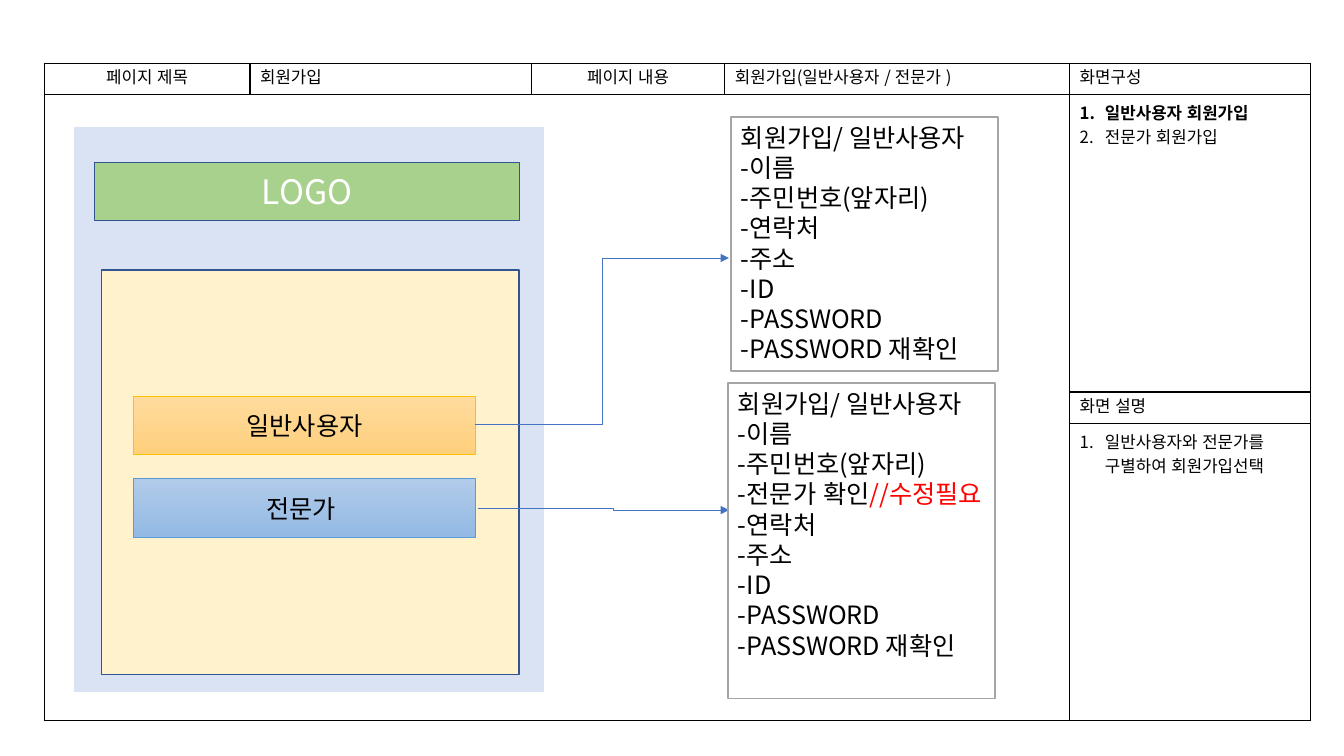
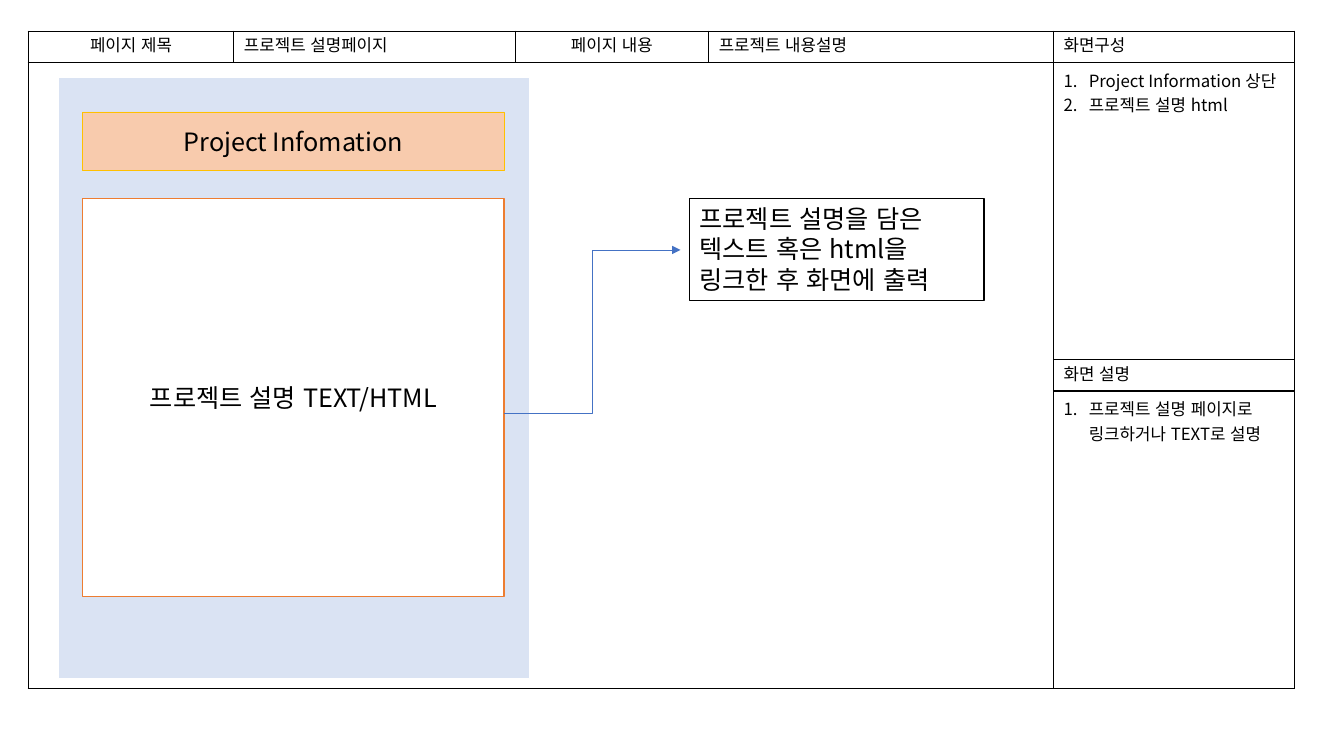
from lxml.etree import SubElement
from pptx import Presentation
from pptx.dml.color import RGBColor
from pptx.enum.lang import MSO_LANGUAGE_ID
from pptx.enum.shapes import MSO_CONNECTOR, MSO_SHAPE
from pptx.enum.text import MSO_ANCHOR, PP_ALIGN
from pptx.oxml.ns import qn
from pptx.util import Inches, Pt

FONT = "Noto Sans CJK KR"
BLACK = RGBColor(0x00, 0x00, 0x00)
WHITE = RGBColor(0xFF, 0xFF, 0xFF)
RED = RGBColor(0xFF, 0x00, 0x00)
PANEL_BLUE = RGBColor(0xDA, 0xE3, 0xF3)
LOGO_GREEN = RGBColor(0xA9, 0xD1, 0x8E)
DARK_BLUE = RGBColor(0x32, 0x54, 0x91)
CREAM = RGBColor(0xFF, 0xF2, 0xCC)
GOLD = RGBColor(0xFF, 0xC0, 0x00)
GOLD_LIGHT = RGBColor(0xFF, 0xDB, 0x9E)
GOLD_DEEP = RGBColor(0xFF, 0xD0, 0x7C)
SKY = RGBColor(0x5B, 0x9B, 0xD5)
SKY_LIGHT = RGBColor(0xB1, 0xCB, 0xE9)
SKY_DEEP = RGBColor(0x93, 0xB9, 0xE4)
GRAY = RGBColor(0xA5, 0xA5, 0xA5)
ARROW_BLUE = RGBColor(0x44, 0x72, 0xC4)
PEACH = RGBColor(0xF8, 0xCB, 0xAD)
ORANGE = RGBColor(0xED, 0x7D, 0x31)

COLUMN_WIDTHS = [2.04, 2.79, 1.92, 3.42, 2.39]
ROW_HEIGHTS = [0.31, 2.95, 0.31, 2.95]
CENTERED_COLUMNS = (0, 2)


def set_values(target, values):
    for name, value in values.items():
        setattr(target, name, value)


def write_run(paragraph, text, size, color=BLACK, bold=False):
    run = paragraph.add_run()
    run.text = text
    set_values(run.font, {"name": FONT, "size": Pt(size), "bold": bold,
                          "language_id": MSO_LANGUAGE_ID.KOREAN})
    run.font.color.rgb = color
    SubElement(run.font._element, qn("a:ea"), typeface=FONT)


def write_paragraphs(frame, paragraphs, size, color=BLACK,
                     align=PP_ALIGN.LEFT, spacing=1.2):
    for index, runs in enumerate(paragraphs):
        paragraph = frame.add_paragraph() if index else frame.paragraphs[0]
        set_values(paragraph, {"alignment": align,
                               "line_spacing": Pt(size * spacing)})
        for text, changes in runs:
            write_run(paragraph, text, size, **{"color": color, **changes})


def plain(*lines):
    return [[(line, {})] for line in lines]


def write_numbered(frame, paragraphs):
    write_paragraphs(frame, paragraphs, 12, spacing=1.46)
    for paragraph in frame.paragraphs:
        properties = paragraph._p.get_or_add_pPr()
        properties.set("marL", str(Inches(0.25)))
        properties.set("indent", str(-Inches(0.25)))
        SubElement(properties, qn("a:buFont"), typeface="+mj-lt")
        SubElement(properties, qn("a:buAutoNum"), type="arabicPeriod")


def style_cell(cell):
    properties = cell._tc.get_or_add_tcPr()
    for side in ("lnL", "lnR", "lnT", "lnB"):
        border = SubElement(properties, qn(f"a:{side}"), w=str(Pt(1)))
        fill = SubElement(border, qn("a:solidFill"))
        SubElement(fill, qn("a:srgbClr"), val=str(BLACK))
    cell.fill.background()


def add_page_frame(slide, left, top, title, content, layout, description):
    table = slide.shapes.add_table(
        len(ROW_HEIGHTS), len(COLUMN_WIDTHS), Inches(left), Inches(top),
        Inches(sum(COLUMN_WIDTHS)), Inches(sum(ROW_HEIGHTS))).table
    set_values(table, {"first_row": False, "horz_banding": False})
    for column, width in zip(table.columns, COLUMN_WIDTHS):
        column.width = Inches(width)
    for row, height in zip(table.rows, ROW_HEIGHTS):
        row.height = Inches(height)
    for cell in table.iter_cells():
        style_cell(cell)
    table.cell(1, 0).merge(table.cell(3, 3))
    headings = ["페이지 제목", title, "페이지 내용", content, "화면구성"]
    for column, heading in enumerate(headings):
        align = PP_ALIGN.CENTER if column in CENTERED_COLUMNS else PP_ALIGN.LEFT
        write_paragraphs(table.cell(0, column).text_frame, plain(heading), 12,
                         align=align)
    write_numbered(table.cell(1, 4).text_frame, layout)
    write_paragraphs(table.cell(2, 4).text_frame, plain("화면 설명"), 12)
    write_numbered(table.cell(3, 4).text_frame, description)


def add_box(slide, bounds, fill, line, line_width=1):
    shape = slide.shapes.add_shape(MSO_SHAPE.RECTANGLE, *map(Inches, bounds))
    shape.shadow.inherit = False
    if isinstance(fill, list):
        shape.fill.gradient()
        shape.fill.gradient_angle = 270
        for stop, color in zip(shape.fill.gradient_stops, fill):
            stop.color.rgb = color
    else:
        shape.fill.solid()
        shape.fill.fore_color.rgb = fill
    shape.line.color.rgb = line
    shape.line.width = Pt(line_width)
    return shape


def add_label(slide, bounds, text, fill, line, line_width=0.5, size=18,
              color=BLACK):
    frame = add_box(slide, bounds, fill, line, line_width).text_frame
    set_values(frame, {"word_wrap": True, "vertical_anchor": MSO_ANCHOR.MIDDLE})
    write_paragraphs(frame, plain(text), size, color, PP_ALIGN.CENTER)


def add_note(slide, bounds, paragraphs, line=GRAY):
    frame = add_box(slide, bounds, WHITE, line).text_frame
    set_values(frame, {"word_wrap": True, "vertical_anchor": MSO_ANCHOR.TOP})
    write_paragraphs(frame, paragraphs, 18)


def add_arrow(slide, start, end, bend=0.5):
    connector = slide.shapes.add_connector(
        MSO_CONNECTOR.ELBOW, *map(Inches, start + end))
    connector.line.color.rgb = ARROW_BLUE
    connector.line.width = Pt(0.5)
    properties = connector._element.spPr
    SubElement(properties.find(qn("a:ln")), qn("a:tailEnd"), type="triangle")
    SubElement(properties, qn("a:effectLst"))
    adjustments = properties.find(qn("a:prstGeom")).get_or_add_avLst()
    SubElement(adjustments, qn("a:gd"), name="adj1",
               fmla=f"val {round(bend * 100000)}")


def build_sign_up(slide):
    add_page_frame(
        slide, 0.44, 0.63, "회원가입", "회원가입(일반사용자 / 전문가 )",
        [[("일반사용자 회원가입", {"bold": True})], [("전문가 회원가입", {})]],
        plain("일반사용자와 전문가를 구별하여 회원가입선택"))
    add_box(slide, (0.73, 1.25, 4.67, 5.62), PANEL_BLUE, WHITE)
    add_label(slide, (0.94, 1.61, 4.21, 0.58), "LOGO", LOGO_GREEN, DARK_BLUE,
              line_width=1, size=24, color=WHITE)
    add_box(slide, (1.01, 2.68, 4.14, 4.01), CREAM, DARK_BLUE)
    add_label(slide, (1.32, 3.93, 3.4, 0.58), "일반사용자",
              [GOLD_LIGHT, GOLD_DEEP], GOLD)
    add_label(slide, (1.32, 4.75, 3.4, 0.58), "전문가 ",
              [SKY_LIGHT, SKY_DEEP], SKY)
    identity = plain("회원가입/ 일반사용자", "-이름", "-주민번호(앞자리)")
    account = plain("-연락처", "-주소", "-ID", "-PASSWORD", "-PASSWORD 재확인")
    expert_check = [("-전문가 확인", {}), ("//수정필요", {"color": RED})]
    add_note(slide, (7.25, 1.16, 2.65, 2.52), identity + account)
    add_arrow(slide, (4.71, 4.21), (7.23, 2.56))
    add_arrow(slide, (4.74, 5.04), (7.23, 5.06), bend=0.54)
    add_note(slide, (7.22, 3.8, 2.65, 3.13),
             identity + [expert_check] + account)


def build_project_page(slide):
    add_page_frame(
        slide, 0.28, 0.31, "프로젝트 설명페이지", "프로젝트 내용설명",
        plain("Project Information 상단", "프로젝트 설명 html"),
        plain("프로젝트 설명 페이지로 링크하거나 TEXT로 설명"))
    add_box(slide, (0.58, 0.77, 4.67, 5.96), PANEL_BLUE, WHITE)
    add_label(slide, (0.82, 1.11, 4.18, 0.58), "Project Infomation", PEACH, GOLD)
    add_label(slide, (0.82, 1.97, 4.18, 3.95), "프로젝트 설명 TEXT/HTML",
              WHITE, ORANGE, line_width=1)
    add_arrow(slide, (5, 4.1), (6.75, 2.48))
    add_note(slide, (6.84, 1.97, 2.92, 1.01),
             plain("프로젝트 설명을 담은 텍스트 혹은 html을 링크한 후 화면에 출력"),
             line=BLACK)


def main():
    presentation = Presentation()
    set_values(presentation, {"slide_width": Inches(13.33),
                              "slide_height": Inches(7.5)})
    for build in (build_sign_up, build_project_page):
        build(presentation.slides.add_slide(presentation.slide_layouts[6]))
    presentation.save("out.pptx")


main()
